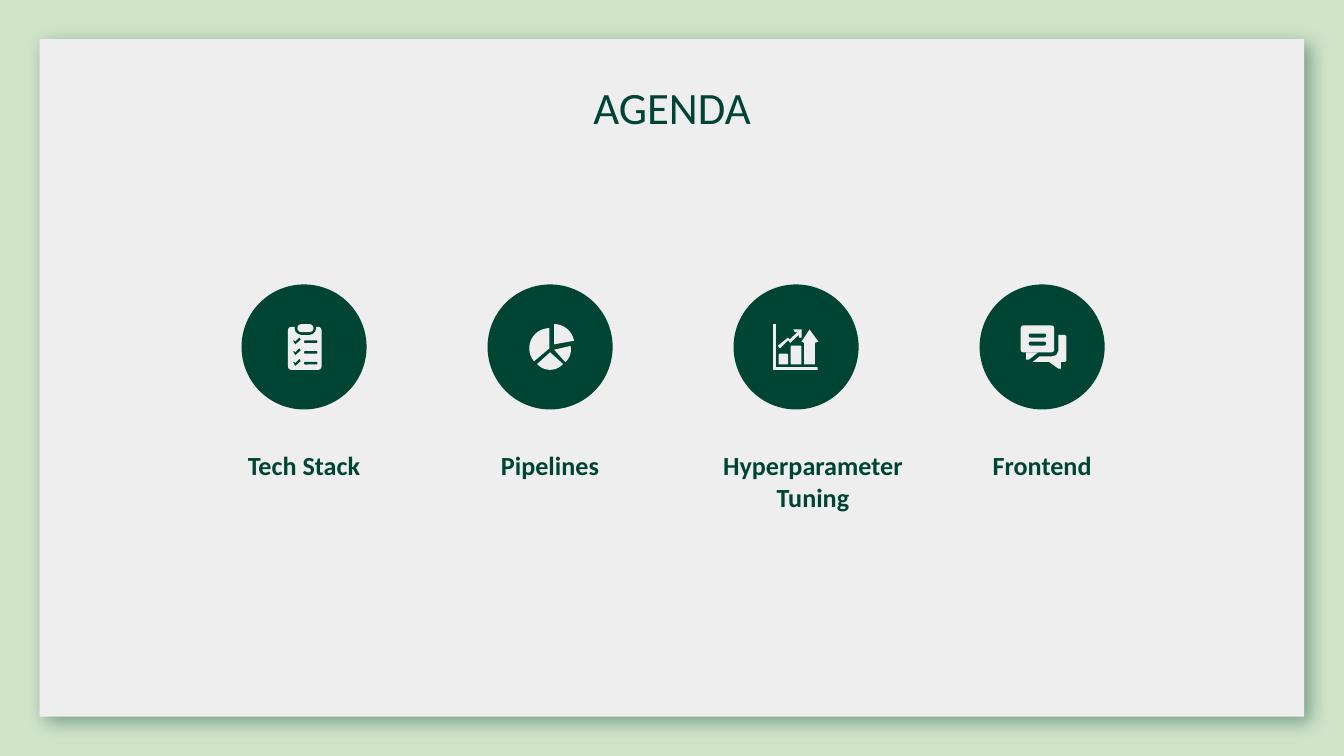
from math import cos, radians, sin

from lxml.etree import SubElement as Sub
from pptx import Presentation
from pptx.dml.color import RGBColor as Rgb
from pptx.enum.shapes import MSO_SHAPE as Kind
from pptx.enum.text import MSO_ANCHOR as Anchor, MSO_AUTO_SIZE as Fit, PP_ALIGN as Align
from pptx.oxml.ns import qn
from pptx.util import Pt

HUES = {"back": "CFE3C7", "light": "EEEEEE", "dark": "004534"}
FONT = "Calibri"
TITLE = "AGENDA"
UNIT = 0.72
MID, STEP, ROW, SIZE = 162.9, 131.8, 185.9, 67

TICK = [(-8, -4.5), (-6.5, -2), (-2.5, -5.5), (-3.5, -7), (-6.5, -4), (-7.5, -5)]
AXES = [(-17, -17), (-15, -17), (-15, 15), (16, 15), (16, 17), (-17, 17)]
TREND = [(-13, 0), (-12, 1), (-6, -5), (-4.5, -3), (2, -9), (2, -7), (4, -7),
         (4, -13), (-2, -13), (-1, -11), (1, -11), (-5, -5.5), (-6, -7), (-13.5, -1)]
RISE = [(6, 13), (14, 13), (14, -3), (16.5, -4), (10, -13), (4, -4), (6, -3)]
TAIL = [(-12, 4), (-12, 9.5), (-10, 9.5), (-3, 4)]
REPLY = [(12, -9), (17, -9), (18, -8), (18, 10), (17, 11), (14, 11), (14, 16), (12, 16),
         (5, 11), (-7, 11), (-2, 7), (7, 7), (10.5, 6), (12, 3)]


def wedge(x, y, size, start, end):
    """Return the points of a pie slice around its tip."""
    turns = [radians(start + (end - start) * i / 24) for i in range(25)]
    return [(x, y)] + [(x + size * cos(t), y + size * sin(t)) for t in turns]


def drop(points, down):
    """Return the points moved down."""
    return [(x, y + down) for x, y in points]


LIST = [("light", (-12, -15, 25, 32), 0.1), ("dark", (-7, -19, 16, 10), 0.5),
        ("light", (-5, -17, 12, 6), 0.5)]
for down in (0, 8, 16):
    LIST += [("dark", (0, down - 5, 10, 2), 0.5), ("dark", drop(TICK, down), None)]
SLICES = [(3, -2, 15, -90, -10), (-0.5, 1, 15, 140, 270),
          (0, 4, 13, 42, 138), (3, 2, 12.5, -13, 48)]
PIE = [("light", wedge(*part), None) for part in SLICES]
CHART = [("light", AXES, None), ("light", TREND, None), ("light", RISE, None),
         ("light", (-13, 5, 7, 8), 0.1), ("light", (-4, -1, 8, 14), 0.1)]
CHAT = [("light", REPLY, None), ("light", (-16, -16, 25, 20), 0.1), ("light", TAIL, None),
        ("dark", (-10, -10, 13, 3), 0.5), ("dark", (-10, -4, 13, 3), 0.5)]
ITEMS = [("Tech Stack", 97, LIST), ("Pipelines", 97, PIE),
         ("Hyperparameter Tuning", 115, CHART), ("Frontend", 97, CHAT)]


def paint(shape, hue):
    """Fill a shape and clear its line and shadow."""
    shape.shadow.inherit = False
    shape.fill.solid()
    shape.fill.fore_color.rgb = Rgb.from_string(HUES[hue])
    shape.line.fill.background()
    return shape


def box(shapes, kind, hue, *place):
    """Add a painted preset shape."""
    return paint(shapes.add_shape(kind, *map(Pt, place)), hue)


def write(shape, text, size=14, bold=False, anchor=Anchor.TOP):
    """Put formatted text into a shape."""
    frame = shape.text_frame
    frame.text = text
    frame.word_wrap, frame.auto_size = True, Fit.NONE
    frame.vertical_anchor = anchor
    frame.margin_left = frame.margin_right = Pt(5.4)
    frame.margin_top = frame.margin_bottom = Pt(2.7)
    line = frame.paragraphs[0]
    line.alignment = Align.CENTER
    font = line.runs[0].font
    font.name, font.size, font.bold = FONT, Pt(size), bold
    font.color.rgb = Rgb.from_string(HUES["dark"])


def shade(shape):
    """Give a shape a soft outer shadow."""
    glow = Sub(shape.element.spPr.find(qn("a:effectLst")), qn("a:outerShdw"),
               blurRad=str(Pt(10)), dist=str(Pt(5)), dir=str(45 * 60000),
               algn="tl", rotWithShape="0")
    tint = Sub(glow, qn("a:srgbClr"), val=HUES["dark"])
    Sub(tint, qn("a:alpha"), val="44000")


def draw(shapes, icon, mid):
    """Draw an icon around the middle of its circle."""
    group = shapes.add_group_shape().shapes
    for hue, form, curve in icon:
        if curve is None:
            spots = [(Pt(mid + x * UNIT), Pt(ROW + y * UNIT)) for x, y in form]
            pen = group.build_freeform(*spots[0])
            pen.add_line_segments(spots[1:], close=True)
            paint(pen.convert_to_shape(), hue)
        else:
            x, y, wide, high = [n * UNIT for n in form]
            part = box(group, Kind.ROUNDED_RECTANGLE, hue, mid + x, ROW + y, wide, high)
            part.adjustments[0] = curve


def main():
    """Build the agenda slide."""
    deck = Presentation()
    deck.slide_width, deck.slide_height = Pt(720), Pt(405)
    slide = deck.slides.add_slide(deck.slide_layouts[5])
    fill = slide.background.fill
    fill.solid()
    fill.fore_color.rgb = Rgb.from_string(HUES["back"])
    shapes = slide.shapes
    panel = box(shapes, Kind.RECTANGLE, "light", 21.2, 21, 677.5, 363)
    shade(panel)
    title = shapes.title
    title.element.addprevious(panel.element)
    title.left, title.top, title.width, title.height = map(Pt, (160.5, 39.6, 399, 34.6))
    write(title, TITLE, size=24, anchor=Anchor.MIDDLE)
    for i, (label, wide, icon) in enumerate(ITEMS):
        mid = MID + i * STEP
        box(shapes, Kind.OVAL, "dark", mid - SIZE / 2, ROW - SIZE / 2, SIZE, SIZE)
        place = mid - 48.5, 238.3, wide, 21.6
        write(shapes.add_textbox(*map(Pt, place)), label, bold=True)
        draw(shapes, icon, mid)
    deck.save("out.pptx")


if __name__ == "__main__":
    main()
